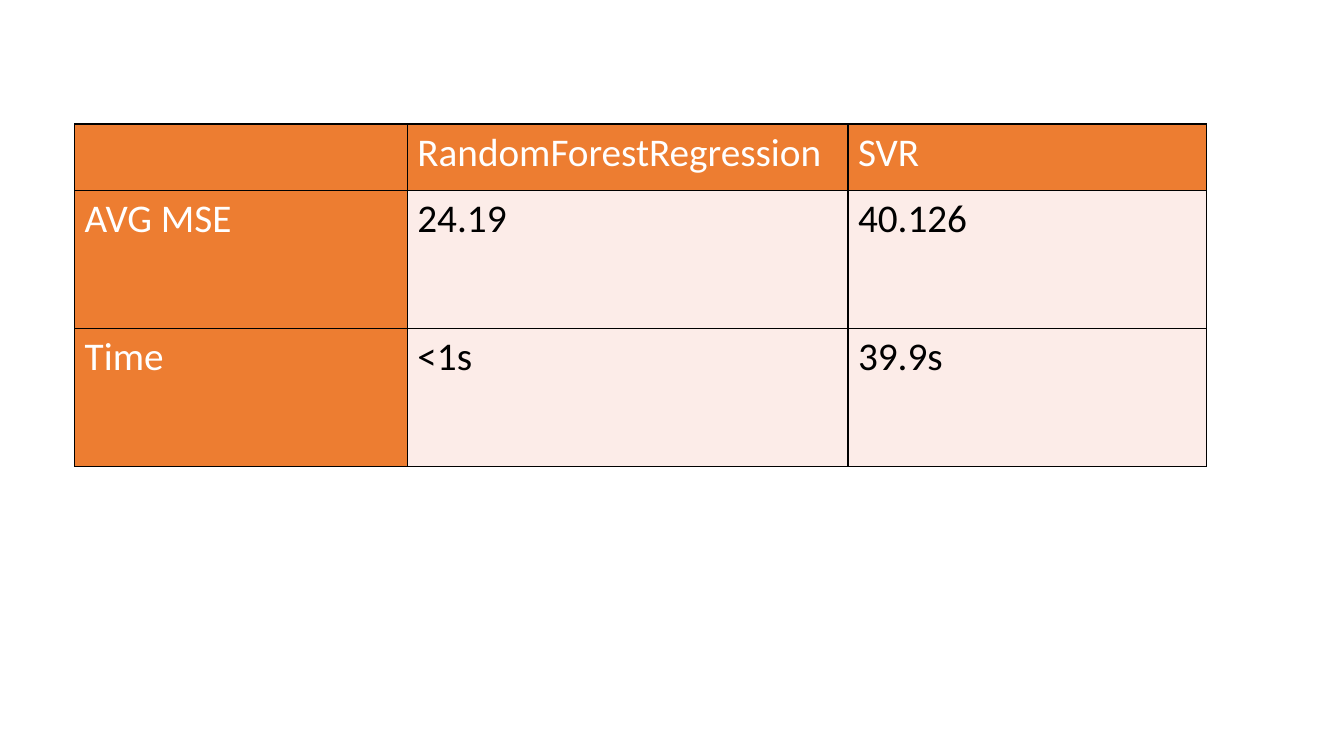
from dataclasses import dataclass

from lxml import etree
from pptx import Presentation, util as u
from pptx.dml.color import RGBColor
from pptx.oxml import ns
from pptx.table import _Cell

PX = 9144
ORANGE, PINK = "ED7D31", "FCECE8"
WHITE, BLACK = "FFFFFF", "000000"


@dataclass(frozen=True)
class Look:
    fill: str
    ink: str


HEAD = Look(ORANGE, WHITE)
BODY = Look(PINK, BLACK)

COLS = (330, 437, 356)
ROWS = (66, 137, 137)
SCORES = (
    ("", "RandomForestRegression", "SVR"),
    ("AVG MSE", "24.19", "40.126"),
    ("Time", "<1s", "39.9s"),
)


def px(n: int) -> u.Emu:
    return u.Emu(n * PX)


def color(code: str) -> RGBColor:
    return RGBColor.from_string(code)


def edge(cell: _Cell) -> None:
    props = cell._tc.get_or_add_tcPr()
    for i, side in enumerate(("lnL", "lnR", "lnT", "lnB")):
        line = etree.Element(ns.qn(f"a:{side}"), w=str(u.Pt(1)))
        fill = etree.SubElement(line, ns.qn("a:solidFill"))
        etree.SubElement(fill, ns.qn("a:srgbClr"), val=BLACK)
        props.insert(i, line)


def paint(cell: _Cell, words: str, look: Look) -> None:
    cell.fill.solid()
    cell.fill.fore_color.rgb = color(look.fill)
    edge(cell)
    cell.text_frame.text = words
    for run in cell.text_frame.paragraphs[0].runs:
        run.font.name = "Calibri"
        run.font.size = u.Pt(28)
        run.font.bold = False
        run.font.color.rgb = color(look.ink)


def main() -> None:
    deck = Presentation()
    deck.slide_width, deck.slide_height = px(1333), px(750)
    slide = deck.slides.add_slide(deck.slide_layouts[6])
    frame = slide.shapes.add_table(
        len(ROWS), len(COLS), px(74), px(123), px(sum(COLS)), px(sum(ROWS))
    )
    table = frame.table
    table.first_row = table.horz_banding = False
    for col, width in zip(table.columns, COLS):
        col.width = px(width)
    for row, height in zip(table.rows, ROWS):
        row.height = px(height)
    for r, line in enumerate(SCORES):
        for c, words in enumerate(line):
            paint(table.cell(r, c), words, BODY if r and c else HEAD)
    deck.save("out.pptx")


if __name__ == "__main__":
    main()
